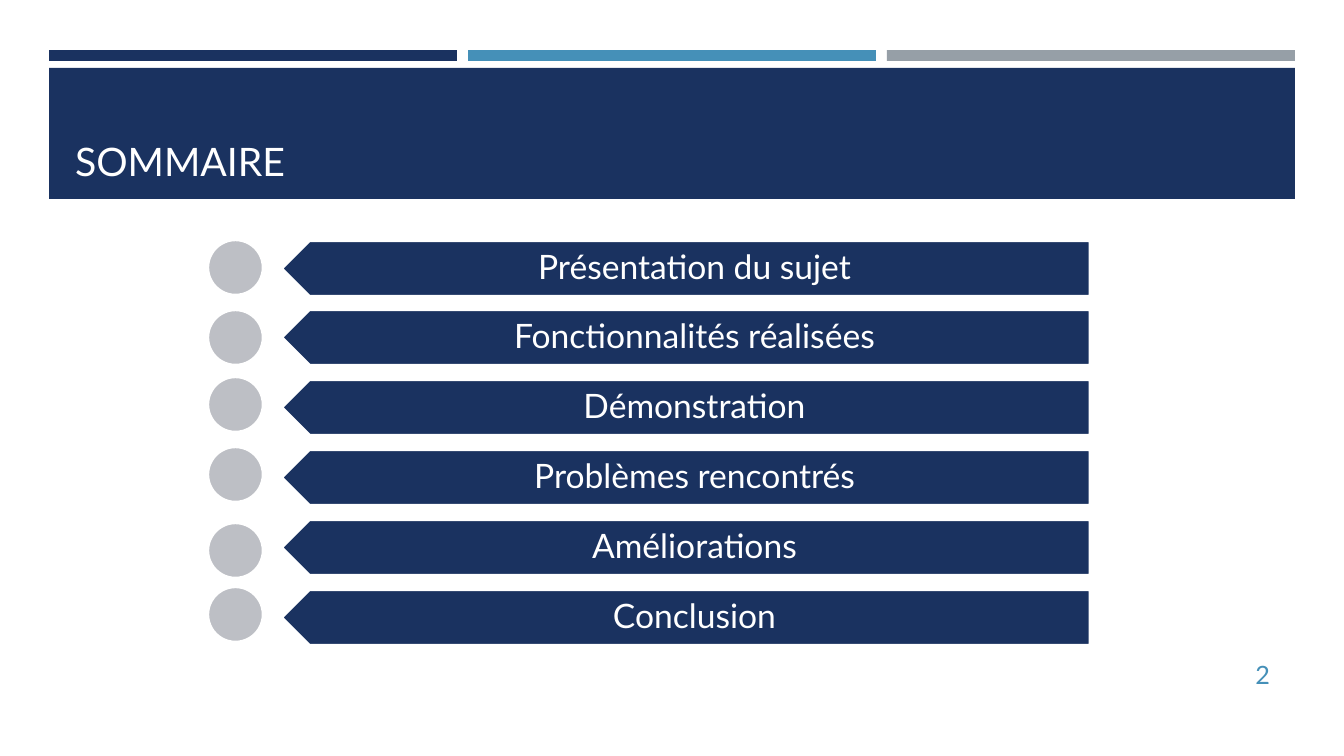
from typing import NamedTuple

from pptx import Presentation, util as u
from pptx.dml.color import RGBColor
from pptx.enum import shapes, text

PX = 914400 / 100.8
HUES = {"navy": "1A3260", "blue": "4590B8", "gray": "969FA7",
        "dot": "BDBFC5", "white": "FFFFFF"}
KIND = shapes.MSO_SHAPE
ALIGN = text.PP_ALIGN
ANCHOR = text.MSO_ANCHOR


class Box(NamedTuple):
    left: int
    top: int
    width: int
    height: int

    def emu(self) -> list[u.Emu]:
        return [px(n) for n in self]


class Bar(NamedTuple):
    box: Box
    hue: str


class Item(NamedTuple):
    label: str
    dot: int  # top of the circle


def px(n: float) -> u.Emu:
    return u.Emu(round(n * PX))


def color(name: str) -> RGBColor:
    return RGBColor.from_string(HUES[name])


def draw(kind: KIND, box: Box, hue: str, edge: bool = False, turn: int = 0) -> None:
    shape = slide.shapes.add_shape(kind, *box.emu())
    shape.shadow.inherit = False
    shape.rotation = turn
    shape.fill.solid()
    shape.fill.fore_color.rgb = color(hue)
    if edge:
        shape.line.color.rgb = color("white")
        shape.line.width = u.Pt(1.75)
    else:
        shape.line.fill.background()


def write(shape, words: str, size: int, hue: str, align: ALIGN, anchor: ANCHOR) -> None:
    frame = shape.text_frame
    frame.text = words
    frame.word_wrap = True
    frame.auto_size = text.MSO_AUTO_SIZE.NONE
    frame.vertical_anchor = anchor
    line = frame.paragraphs[0]
    line.alignment = align
    line.line_spacing = 0.9
    font = line.runs[0].font
    font.name, font.size = "Lato", u.Pt(size)
    font.color.rgb = color(hue)


deck = Presentation()
deck.slide_width, deck.slide_height = px(1344), px(756)
slide = deck.slides.add_slide(deck.slide_layouts[5])

# Header bars and title band
BARS = [Bar(Box(49 + 419 * i, 50, 408, 11), hue)
        for i, hue in enumerate(("navy", "blue", "gray"))]
BAND = Bar(Box(49, 68, 1246, 131), "navy")
for bar in BARS + [BAND]:
    draw(KIND.RECTANGLE, bar.box, bar.hue)

# Title, brought in front of its band
title = slide.shapes.title
title.left, title.top, title.width, title.height = Box(65, 78, 1215, 112).emu()
write(title, "SOMMAIRE", 28, "white", ALIGN.LEFT, ANCHOR.BOTTOM)
slide.shapes.element.append(title.element)

# Agenda rows
ITEMS = [
    Item("Présentation du sujet", 240),
    Item("Fonctionnalités réalisées", 310),
    Item("Démonstration", 377),
    Item("Problèmes rencontrés", 447),
    Item("Améliorations", 523),
    Item("Conclusion", 587),
]
SIDE = 55
for i, item in enumerate(ITEMS):
    top = 241 + i * 349 // 5
    draw(KIND.PENTAGON, Box(282, top, 808, SIDE), "navy", True, 180)
    label = slide.shapes.add_textbox(*Box(295, top, 794, SIDE).emu())
    write(label, item.label, 24, "white", ALIGN.CENTER, ANCHOR.MIDDLE)
    label.text_frame.margin_left = px(24)
    label.text_frame.margin_right = px(19)
    draw(KIND.OVAL, Box(208, item.dot, SIDE, SIDE), "dot", True)

# Page number
page = slide.shapes.add_textbox(*Box(1164, 656, 116, 40).emu())
write(page, "2", 18, "blue", ALIGN.RIGHT, ANCHOR.MIDDLE)

deck.save("out.pptx")
